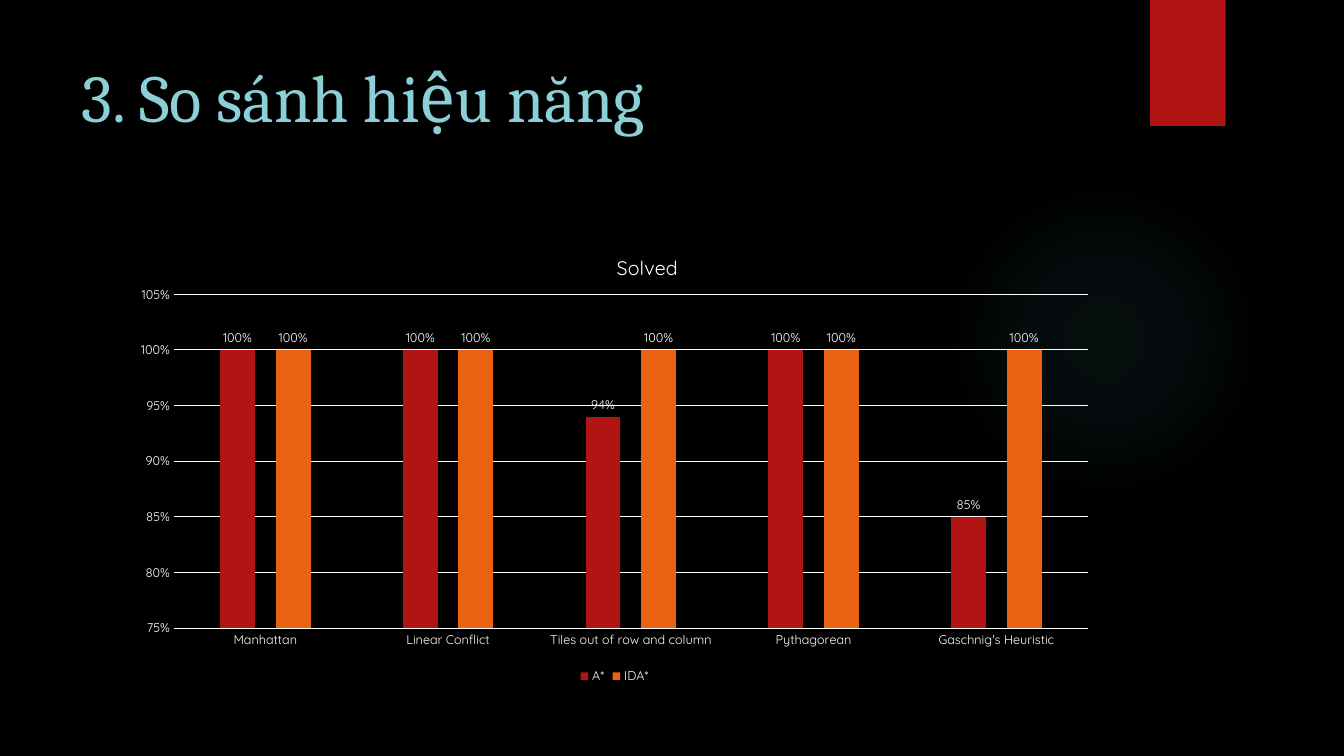
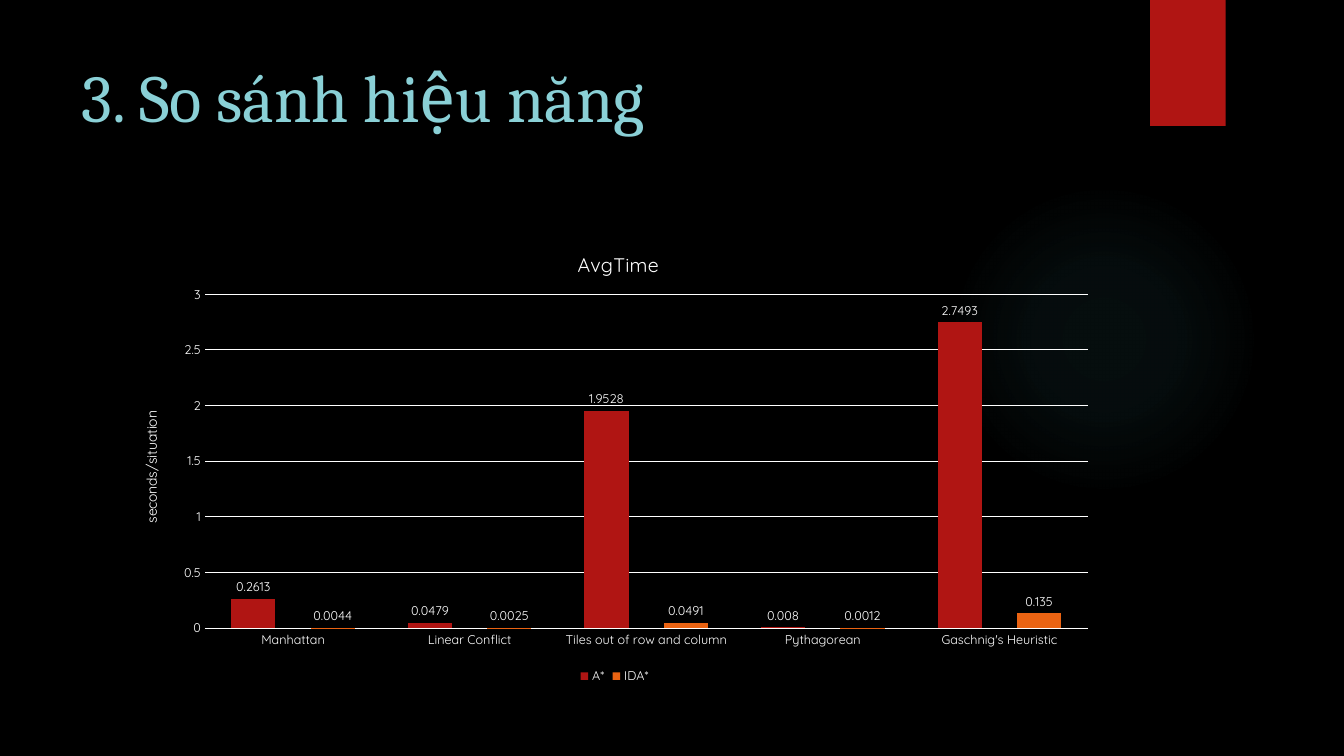
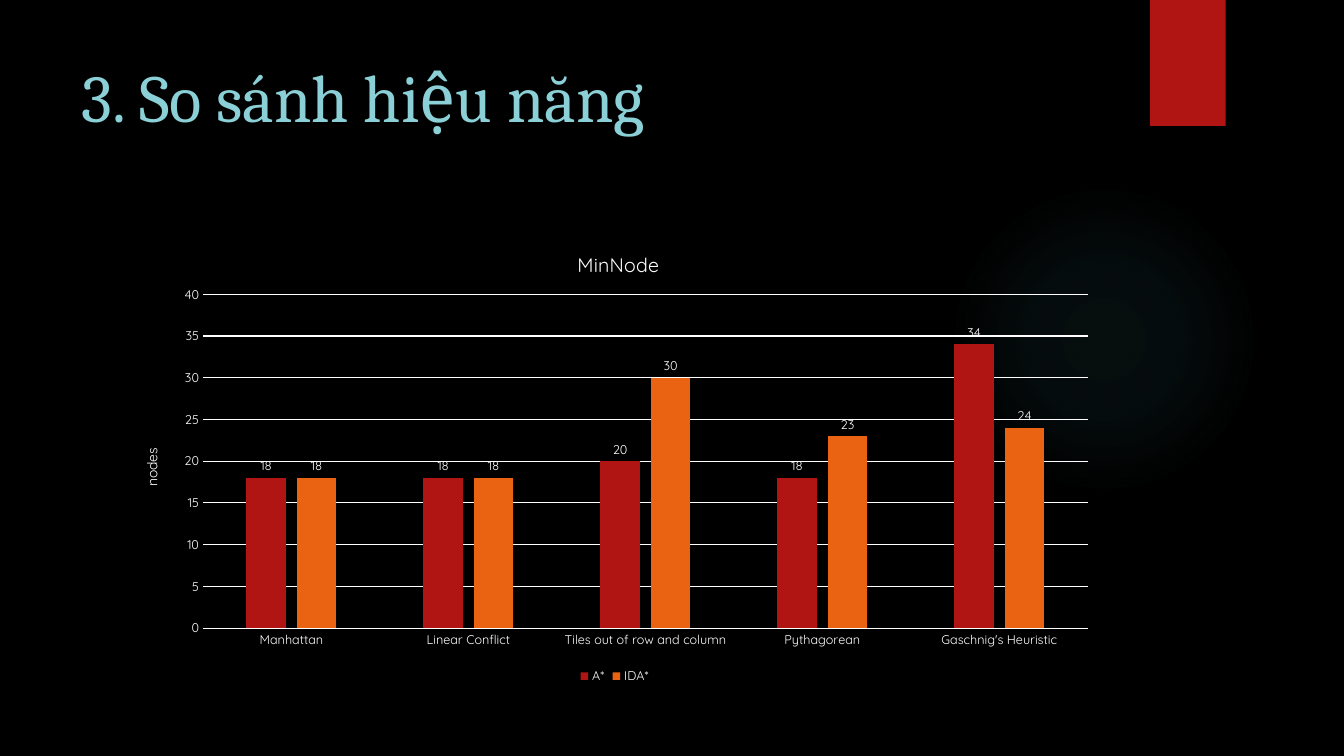
from dataclasses import dataclass
from pptx import Presentation
from pptx.chart.data import CategoryChartData
from pptx.dml.color import RGBColor
from pptx.enum.chart import XL_CHART_TYPE, XL_LABEL_POSITION, XL_LEGEND_POSITION, XL_TICK_MARK
from pptx.enum.shapes import MSO_SHAPE
from pptx.enum.text import MSO_ANCHOR, MSO_AUTO_SIZE, PP_ALIGN
from pptx.oxml import parse_xml
from pptx.oxml.ns import nsdecls, qn
from pptx.util import Pt


@dataclass(frozen=True)
class Theme:
    background: str = "000000"
    text: str = "FFFFFF"
    title: str = "8AD0D6"
    band: str = "B01513"
    glow: str = "50B9C1"
    series: tuple = ("B01513", "EA6312")
    title_font: str = "Cambria"
    chart_font: str = "Quicksand"
    title_size: int = 48
    chart_title_size: int = 14
    axis_title_size: int = 10
    label_size: int = 9
    line_width: float = 0.75


@dataclass(frozen=True)
class Comparison:
    title: str
    title_at: tuple
    plot_left: float
    gap: int
    overlap: int
    values: tuple
    unit: str = ""
    number_format: str = "General"
    scale: tuple = ()


THEME = Theme()
SLIDE_SIZE = (960, 540)
TITLE_BOX = (51, 36, 741, 110)
BAND_BOX = (821.5, 0, 54, 90)
GLOW_BOX = (677.5, 131.5, 222, 222)
GLOW_STOPS = ((0, 7), (36, 6), (69, 0))
CHART_BOX = (87, 161, 704, 330.5)
PLOT_TOP, PLOT_RIGHT, PLOT_BOTTOM = 210.25, 777, 448.75

HEADING = "3. So sánh hiệu năng"
ALGORITHMS = ("A*", "IDA*")
HEURISTICS = ("Manhattan", "Linear Conflict", "Tiles out of row and column",
              "Pythagorean", "Gaschnig's Heuristic")
COMPARISONS = (
    Comparison("Solved", (438, 178), 124.25, 264, -59,
               ((1, 1, 0.94, 1, 0.85), (1, 1, 1, 1, 1)),
               number_format="0%", scale=(0.75, 1.05, 0.05)),
    Comparison("AvgTime", (410, 176), 146.25, 120, -80,
               ((0.2613, 0.0479, 1.9528, 0.008, 2.7493),
                (0.0044, 0.0025, 0.0491, 0.0012, 0.135)),
               unit="seconds/situation", scale=(0, 3, 0.5)),
    Comparison("MinNode", (410, 176), 145, 219, -27,
               ((18, 18, 20, 18, 34), (18, 18, 30, 23, 24)),
               unit="nodes", scale=(0, 40, 5)),
)


def color(value):
    return RGBColor.from_string(value)


def points(lengths):
    return [Pt(length) for length in lengths]


def style_font(font, name, size, value):
    font.name = name
    font.size = Pt(size)
    font.bold = False
    font.color.rgb = color(value)


def style_chart_font(font, size=THEME.label_size):
    style_font(font, THEME.chart_font, size, THEME.text)


def style_line(line):
    line.color.rgb = color(THEME.text)
    line.width = Pt(THEME.line_width)


def add_plain_shape(page, kind, box):
    shape = page.shapes.add_shape(kind, *points(box))
    shape.shadow.inherit = False
    shape.line.fill.background()
    return shape


def add_glow(page):
    glow = add_plain_shape(page, MSO_SHAPE.OVAL, GLOW_BOX)
    glow.fill.background()
    stops = "".join(
        f'<a:gs pos="{position * 1000}"><a:srgbClr val="{THEME.glow}">'
        f'<a:alpha val="{alpha * 1000}"/></a:srgbClr></a:gs>'
        for position, alpha in GLOW_STOPS)
    gradient = parse_xml(
        f'<a:gradFill {nsdecls("a")} rotWithShape="1"><a:gsLst>{stops}</a:gsLst>'
        '<a:path path="circle"><a:fillToRect l="50000" t="50000" r="50000" b="50000"/>'
        '</a:path></a:gradFill>')
    properties = glow.element.spPr
    properties.replace(properties.find(qn("a:noFill")), gradient)
    return glow


def add_band(page):
    band = add_plain_shape(page, MSO_SHAPE.RECTANGLE, BAND_BOX)
    band.fill.solid()
    band.fill.fore_color.rgb = color(THEME.band)
    band.element.spPr.find(qn("a:effectLst")).append(parse_xml(
        f'<a:outerShdw {nsdecls("a")} blurRad="{Pt(3)}" dist="{Pt(2)}" dir="5400000" '
        'rotWithShape="0"><a:srgbClr val="000000"><a:alpha val="45000"/></a:srgbClr>'
        '</a:outerShdw>'))
    return band


def move_to_layout(layout, shapes):
    for index, shape in enumerate(shapes, start=2):
        layout.shapes.element.insert(index, shape.element)


def add_heading(page, text):
    box = page.shapes.title
    box.left, box.top, box.width, box.height = points(TITLE_BOX)
    frame = box.text_frame
    frame.word_wrap = True
    frame.auto_size = MSO_AUTO_SIZE.NONE
    frame.vertical_anchor = MSO_ANCHOR.TOP
    para = frame.paragraphs[0]
    para.alignment = PP_ALIGN.LEFT
    span = para.add_run()
    span.text = text
    style_font(span.font, THEME.title_font, THEME.title_size, THEME.title)


def add_chart_text(frame, text, size):
    span = frame.paragraphs[0].add_run()
    span.text = text
    style_chart_font(span.font, size)


def place_in_chart(element, index, left, top, size=None):
    chart_left, chart_top, chart_width, chart_height = CHART_BOX
    entries = [("xMode", "edge"), ("yMode", "edge"),
               ("x", (left - chart_left) / chart_width),
               ("y", (top - chart_top) / chart_height)]
    if size:
        entries.insert(0, ("layoutTarget", "inner"))
        entries += [("w", size[0] / chart_width), ("h", size[1] / chart_height)]
    content = "".join(f'<c:{name} val="{value}"/>' for name, value in entries)
    previous = element.find(qn("c:layout"))
    if previous is not None:
        element.remove(previous)
    element.insert(index, parse_xml(
        f'<c:layout {nsdecls("c")}><c:manualLayout>{content}</c:manualLayout></c:layout>'))


def style_axes(chart, comparison):
    for axis in (chart.category_axis, chart.value_axis):
        axis.major_tick_mark = axis.minor_tick_mark = XL_TICK_MARK.NONE
        style_chart_font(axis.tick_labels.font)
    style_line(chart.category_axis.format.line)
    values = chart.value_axis
    values.format.line.fill.background()
    values.has_major_gridlines = True
    style_line(values.major_gridlines.format.line)
    values.minimum_scale, values.maximum_scale, values.major_unit = comparison.scale
    values.tick_labels.number_format = comparison.number_format
    values.tick_labels.number_format_is_linked = False
    if comparison.unit:
        add_chart_text(values.axis_title.text_frame, comparison.unit, THEME.axis_title_size)


def style_series(series, value, number_format):
    series.format.fill.solid()
    series.format.fill.fore_color.rgb = color(value)
    series.invert_if_negative = False
    labels = series.data_labels
    labels.show_value = True
    labels.position = XL_LABEL_POSITION.OUTSIDE_END
    labels.number_format = number_format
    labels.number_format_is_linked = False
    style_chart_font(labels.font)


def add_column_chart(page, comparison):
    data = CategoryChartData(number_format=comparison.number_format)
    data.categories = HEURISTICS
    for name, values in zip(ALGORITHMS, comparison.values):
        data.add_series(name, values)
    chart = page.shapes.add_chart(
        XL_CHART_TYPE.COLUMN_CLUSTERED, *points(CHART_BOX), data).chart
    style_chart_font(chart.font, THEME.axis_title_size)
    chart.has_title = True
    add_chart_text(chart.chart_title.text_frame, comparison.title, THEME.chart_title_size)
    place_in_chart(chart.chart_title.element, 1, *comparison.title_at)
    chart.has_legend = True
    chart.legend.position = XL_LEGEND_POSITION.BOTTOM
    chart.legend.include_in_layout = False
    style_chart_font(chart.legend.font)
    style_axes(chart, comparison)
    plot = chart.plots[0]
    plot.vary_by_categories = False
    plot.gap_width = comparison.gap
    plot.overlap = comparison.overlap
    for series, value in zip(plot.series, THEME.series):
        style_series(series, value, comparison.number_format)
    plot_size = (PLOT_RIGHT - comparison.plot_left, PLOT_BOTTOM - PLOT_TOP)
    place_in_chart(chart.element.find(".//" + qn("c:plotArea")), 0,
                   comparison.plot_left, PLOT_TOP, plot_size)


def main():
    deck = Presentation()
    deck.slide_width, deck.slide_height = points(SLIDE_SIZE)
    background = deck.slide_master.background.fill
    background.solid()
    background.fore_color.rgb = color(THEME.background)
    layout = deck.slide_layouts[5]
    pages = [deck.slides.add_slide(layout) for _ in COMPARISONS]
    move_to_layout(layout, (add_glow(pages[0]), add_band(pages[0])))
    for page, comparison in zip(pages, COMPARISONS):
        add_heading(page, HEADING)
        add_column_chart(page, comparison)
    deck.save("out.pptx")


if __name__ == "__main__":
    main()
